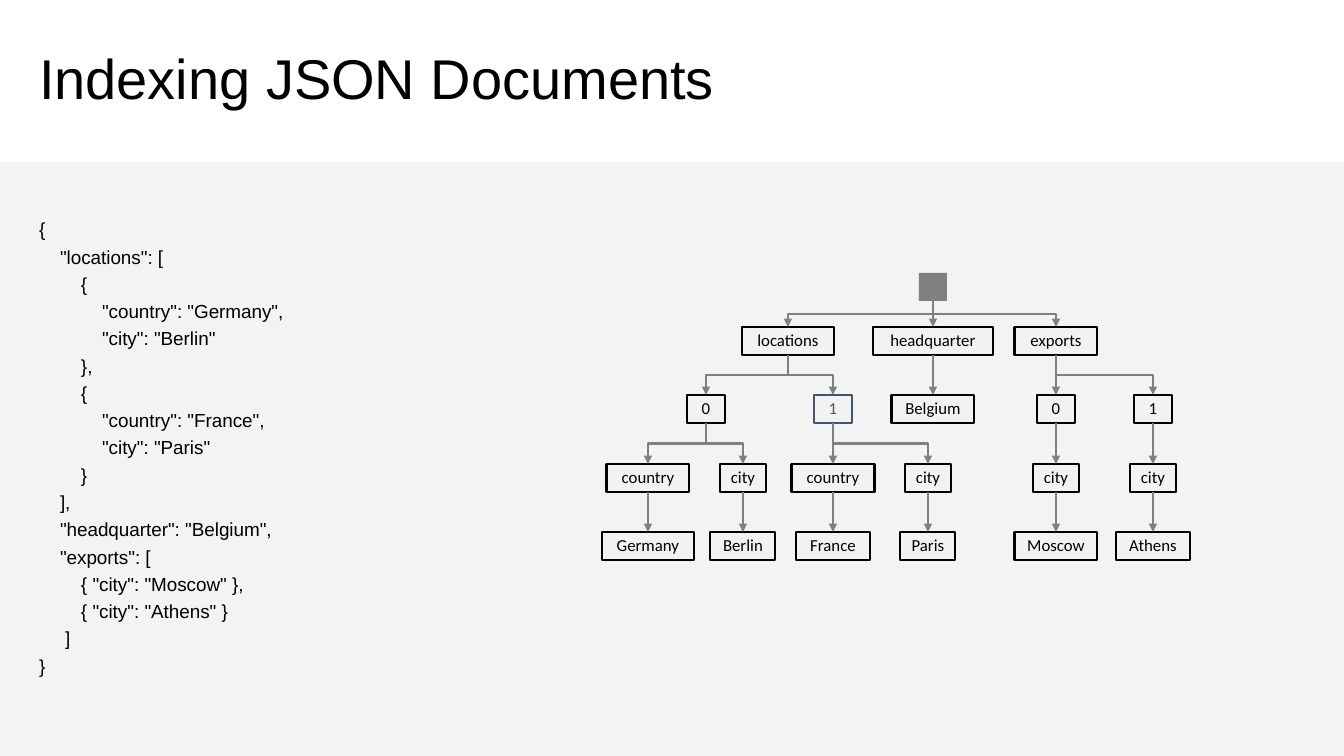
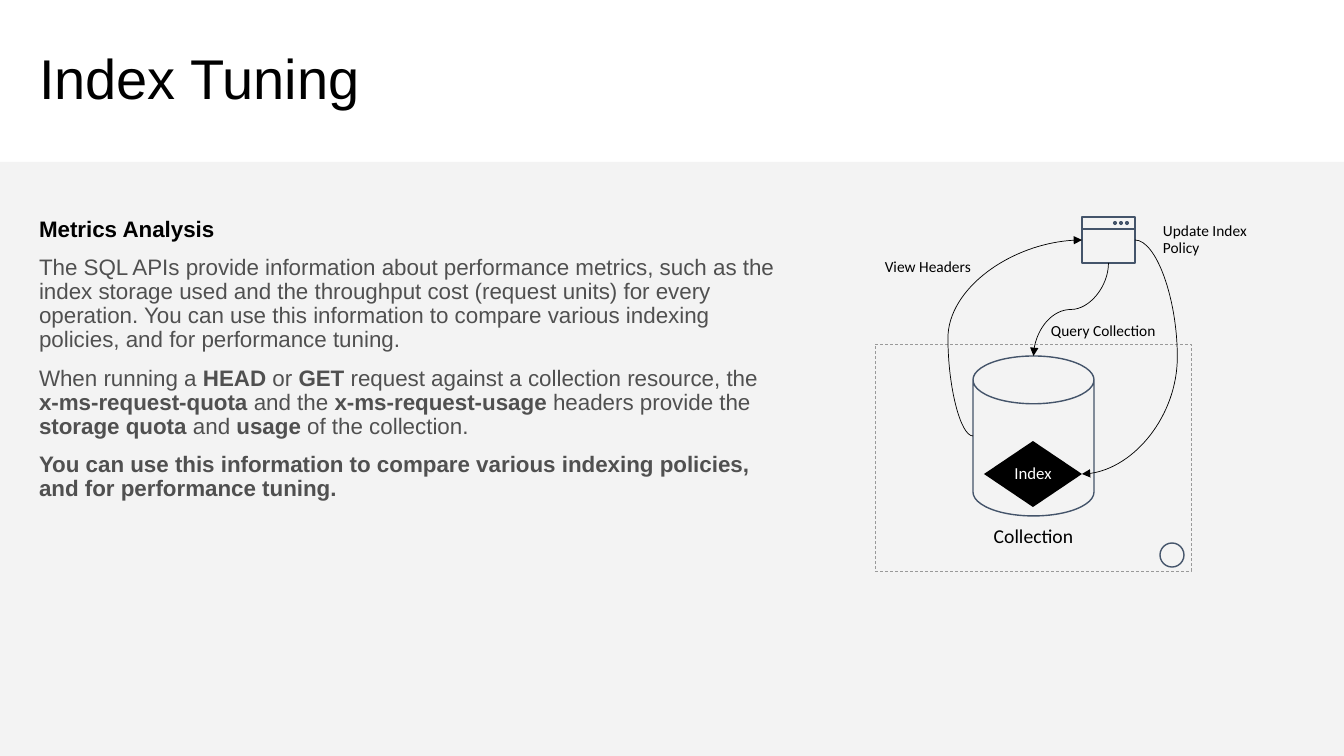
from lxml import etree
from pptx import Presentation
from pptx.dml.color import RGBColor
from pptx.enum.dml import MSO_LINE
from pptx.enum.shapes import MSO_CONNECTOR as LINK, MSO_SHAPE as SHAPE
from pptx.enum.text import MSO_ANCHOR as ANCHOR, MSO_AUTO_SIZE, PP_ALIGN as ALIGN
from pptx.oxml.ns import qn
from pptx.util import Emu, Pt

PX = 914400 / 100.8
WIDTH, HEIGHT = 1344, 756
COLORS = {"black": "000000", "white": "FFFFFF", "band": "F3F3F3", "node": "F2F2F2",
          "gray": "808080", "body": "505050", "slate": "44546A", "dash": "999999"}
HEAD_FONT, LABEL_FONT = "Arial", "Calibri"
BAND_BOX = (0, 162, WIDTH, HEIGHT - 162)
TITLE_BOX = (29, 32, 1285, 99)

# Slide 1: indent depth and text of each code line
CODE_TITLE = "Indexing JSON Documents"
CODE_BOX = (29, 213, 403, 473)
CODE_INDENT = 21
CODE = [
    (0, '{'),
    (1, '"locations": ['),
    (2, '{'),
    (3, '"country": "Germany",'),
    (3, '"city": "Berlin"'),
    (2, '},'),
    (2, '{'),
    (3, '"country": "France",'),
    (3, '"city": "Paris"'),
    (2, '}'),
    (1, '],'),
    (1, '"headquarter": "Belgium",'),
    (1, '"exports": ['),
    (2, '{ "city": "Moscow" },'),
    (2, '{ "city": "Athens" }'),
    (1.25, ']'),
    (0, '}'),
]

# Tree nodes: label, centre x, children
TREE = ("", 933, [
    ("locations", 788, [
        ("0", 706, [
            ("country", 648, [("Germany", 648, [])]),
            ("city", 743, [("Berlin", 743, [])])]),
        ("1", 833, [
            ("country", 833, [("France", 833, [])]),
            ("city", 928, [("Paris", 928, [])])])]),
    ("headquarter", 933, [("Belgium", 933, [])]),
    ("exports", 1056, [
        ("0", 1056, [("city", 1056, [("Moscow", 1056, [])])]),
        ("1", 1153, [("city", 1153, [("Athens", 1153, [])])])]),
])
NODE_WIDTHS = {"": 28, "0": 38, "1": 38, "city": 46, "Paris": 55, "Berlin": 65, "France": 74,
               "Athens": 74, "country": 83, "exports": 83, "Belgium": 83, "Moscow": 83,
               "Germany": 92, "locations": 92, "headquarter": 120}
ROW_TOPS = (273, 327, 395, 464, 532)
NODE_HEIGHT = 28
SLATE_NODE = ("1", 833)

# Slide 2: ** switches bold on and off
TUNING_TITLE = "Index Tuning"
TUNING_BOX = (29, 213, 775, 298)
TUNING = [
    ("**Metrics Analysis**", "black"),
    ("The SQL APIs provide information about performance metrics, such as the index storage "
     "used and the throughput cost (request units) for every operation. You can use this "
     "information to compare various indexing policies, and for performance tuning.", "body"),
    ("When running a **HEAD** or **GET** request against a collection resource, the\n"
     "**x-ms-request-quota** and the **x-ms-request-usage** headers provide the "
     "**storage quota** and **usage** of the collection.", "body"),
    ("**You can use this information to compare various indexing policies, "
     "and for performance tuning.**", "body"),
]
LABELS = [
    ("Collection", (959, 510, 149, 54), 14, ALIGN.CENTER),
    ("Update Index\nPolicy", (1163, 213, 110, 54), 11, ALIGN.LEFT),
    ("Query Collection", (1051, 313, 120, 37), 11, ALIGN.LEFT),
    ("View Headers", (861, 249, 110, 37), 11, ALIGN.RIGHT),
]
WINDOW_BOX = (1082, 217, 53, 46)
SERVICE_BOX = (875, 344, 316, 227)
PLANET_BOX = (1160, 543, 24, 24)
CAN_BOX = (973, 356, 121, 160)
INDEX_BOX = (984, 441, 98, 66)


def px(*lengths):
    return [Emu(round(length * PX)) for length in lengths]


def rgb(name):
    return RGBColor.from_string(COLORS[name])


def prepare_frame(shape, inset=(0, 0), anchor=ANCHOR.MIDDLE):
    frame = shape.text_frame
    frame.word_wrap = True
    frame.auto_size = MSO_AUTO_SIZE.NONE
    frame.vertical_anchor = anchor
    frame.margin_left = frame.margin_right = px(inset[0])[0]
    frame.margin_top = frame.margin_bottom = px(inset[1])[0]
    return frame


def add_para(frame, text, size=12, font=LABEL_FONT, color="black", align=ALIGN.LEFT,
             spacing=0.9, before=0, indent=0):
    para = frame.add_paragraph() if frame.text else frame.paragraphs[0]
    para.alignment, para.line_spacing, para.space_before = align, spacing, Pt(before)
    props = para._p.get_or_add_pPr()
    props.set("marL", str(px(indent)[0]))
    props.set("indent", "0")
    etree.SubElement(props, qn("a:buNone"))
    for number, part in enumerate(text.split("**")):
        for row, words in enumerate(part.split("\n")):
            if row:
                para.add_line_break()
            if words:
                span = para.add_run()
                span.text = words
                span.font.name, span.font.size = font, Pt(size)
                span.font.bold = number % 2 == 1
                span.font.color.rgb = rgb(color)


def add_box(page, kind, box, fill=None, line=None, weight=1):
    shape = page.shapes.add_shape(kind, *px(*box))
    shape.shadow.inherit = False
    if fill:
        shape.fill.solid()
        shape.fill.fore_color.rgb = rgb(fill)
    else:
        shape.fill.background()
    if line:
        shape.line.color.rgb = rgb(line)
        shape.line.width = Pt(weight)
    else:
        shape.line.fill.background()
    return shape


def add_link(page, kind, start, end, color="black", weight=0.5, arrow=True,
             vertical=False, bend=None):
    """Connect two points; vertical makes a bent or curved link leave downwards."""
    (x1, y1), (x2, y2) = start, end
    if vertical:
        # Turn the frame a quarter about its centre
        mid_x, mid_y = (x1 + x2) / 2, (y1 + y2) / 2
        half_w, half_h = (y2 - y1) / 2, abs(x2 - x1) / 2
        side = 1 if x2 < x1 else -1
        x1, x2 = mid_x - side * half_w, mid_x + side * half_w
        y1, y2 = mid_y - half_h, mid_y + half_h
    link = page.shapes.add_connector(kind, *px(x1, y1, x2, y2))
    link.line.color.rgb = rgb(color)
    link.line.width = Pt(weight)
    props = link._element.spPr
    if vertical:
        props.find(qn("a:xfrm")).set("rot", str((90 if side == 1 else 270) * 60000))
    if bend is not None:
        guides = props.find(qn("a:prstGeom")).find(qn("a:avLst"))
        etree.SubElement(guides, qn("a:gd"), name="adj1", fmla=f"val {round(bend * 100000)}")
    if arrow:
        etree.SubElement(props.find(qn("a:ln")), qn("a:tailEnd"), type="triangle")
    etree.SubElement(props, qn("a:effectLst"))


def add_page(deck, layout, title):
    page = deck.slides.add_slide(deck.slide_layouts.get_by_name(layout))
    heading = page.shapes.title
    heading.left, heading.top, heading.width, heading.height = px(*TITLE_BOX)
    add_para(prepare_frame(heading, inset=(10, 5)), title, size=40, font=HEAD_FONT)
    return page


def add_master_band(deck, page):
    band = add_box(page, SHAPE.RECTANGLE, BAND_BOX, fill="band")
    deck.slide_master.shapes.element.insert(2, band._element)


def add_nodes(page, node, depth=0):
    label, center, children = node
    width = NODE_WIDTHS[label]
    box = (center - width / 2, ROW_TOPS[depth], width, NODE_HEIGHT)
    if label:
        color = "slate" if (label, center) == SLATE_NODE else "black"
        shape = add_box(page, SHAPE.RECTANGLE, box, fill="node", line=color, weight=1.5)
        add_para(prepare_frame(shape), label, color=color, align=ALIGN.CENTER)
    else:
        add_box(page, SHAPE.RECTANGLE, box, fill="gray")
    for child in children:
        add_nodes(page, child, depth + 1)


def add_branches(page, node, depth=0):
    _, center, children = node
    for child in children:
        bent = child[1] != center
        add_link(page, LINK.ELBOW if bent else LINK.STRAIGHT,
                 (center, ROW_TOPS[depth] + NODE_HEIGHT), (child[1], ROW_TOPS[depth + 1]),
                 color="gray", weight=1.5, vertical=bent)
        add_branches(page, child, depth + 1)


def fill_code_page(page):
    frame = prepare_frame(page.shapes.add_textbox(*px(*CODE_BOX)), (10, 5), ANCHOR.TOP)
    for depth, text in CODE:
        add_para(frame, text, size=13.5, font=HEAD_FONT, spacing=1.0, before=3.3,
                 indent=depth * CODE_INDENT)
    add_nodes(page, TREE)
    add_branches(page, TREE)


def fill_tuning_page(page):
    body = page.placeholders[1]
    body.left, body.top, body.width, body.height = px(*TUNING_BOX)
    frame = prepare_frame(body, (10, 5), ANCHOR.TOP)
    for text, color in TUNING:
        add_para(frame, text, size=16, font=HEAD_FONT, color=color, before=10)

    # Application window
    left, top, width, height = WINDOW_BOX
    right, middle = left + width, left + width / 2
    add_box(page, SHAPE.RECTANGLE, WINDOW_BOX, line="slate")
    add_link(page, LINK.STRAIGHT, (left, top + 12), (right, top + 12),
             color="slate", weight=1, arrow=False)
    for step in range(3):
        add_box(page, SHAPE.OVAL, (left + 31 + 6 * step, top + 4, 4, 4), fill="slate")

    # Service with its collection and index
    service = add_box(page, SHAPE.RECTANGLE, SERVICE_BOX, line="dash", weight=0.5)
    service.line.dash_style = MSO_LINE.DASH
    add_box(page, SHAPE.OVAL, PLANET_BOX, line="slate")
    can = add_box(page, SHAPE.CAN, CAN_BOX, line="slate")
    can.adjustments[0] = 0.395
    index = add_box(page, SHAPE.FLOWCHART_DECISION, INDEX_BOX, fill="black")
    add_para(prepare_frame(index), "Index", color="white", align=ALIGN.CENTER)

    # Requests
    can_left, can_top, can_width, can_height = CAN_BOX
    index_left, index_top, index_width, index_height = INDEX_BOX
    side = top + height / 2
    add_link(page, LINK.CURVE, (right, side),
             (index_left + index_width, index_top + index_height / 2), bend=-0.8)
    add_link(page, LINK.CURVE, (middle, top + height), (can_left + can_width / 2, can_top),
             vertical=True)
    add_link(page, LINK.CURVE, (can_left, can_top + can_height / 2), (left, side), bend=-0.23)
    for text, box, size, align in LABELS:
        label = prepare_frame(page.shapes.add_textbox(*px(*box)))
        add_para(label, text, size=size, align=align)


def main():
    deck = Presentation()
    deck.slide_width, deck.slide_height = px(WIDTH, HEIGHT)
    code_page = add_page(deck, "Title Only", CODE_TITLE)
    add_master_band(deck, code_page)
    fill_code_page(code_page)
    fill_tuning_page(add_page(deck, "Title and Content", TUNING_TITLE))
    deck.save("out.pptx")


if __name__ == "__main__":
    main()
